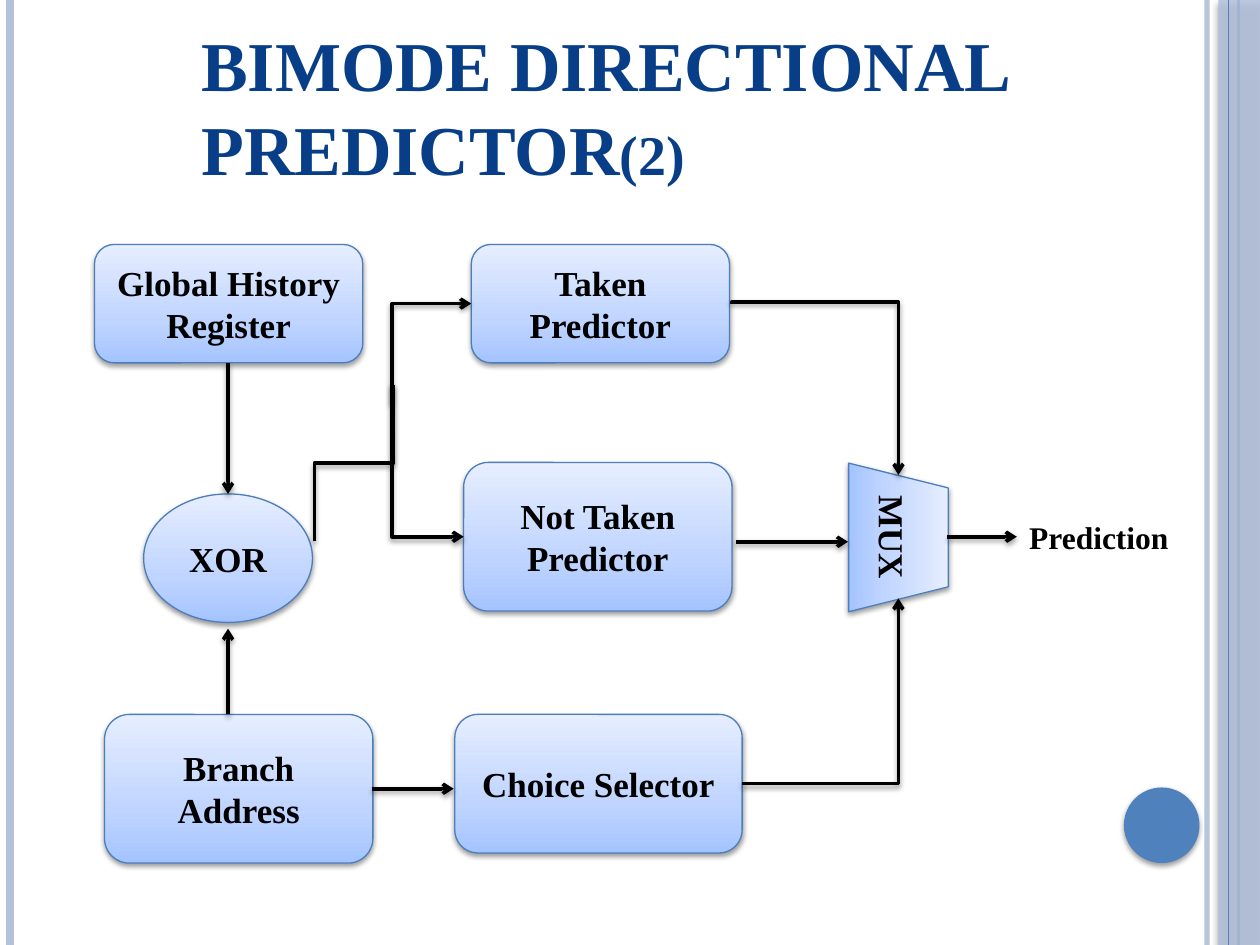
from copy import deepcopy
from typing import NamedTuple

from lxml import etree
from pptx import Presentation
from pptx.dml.color import RGBColor
from pptx.enum.shapes import MSO_CONNECTOR, MSO_SHAPE
from pptx.enum.text import MSO_ANCHOR, PP_ALIGN
from pptx.oxml.ns import qn
from pptx.util import Inches, Pt

ROUND, OVAL = MSO_SHAPE.ROUNDED_RECTANGLE, MSO_SHAPE.OVAL
TRAPEZOID, RECT = MSO_SHAPE.TRAPEZOID, MSO_SHAPE.RECTANGLE
STRAIGHT, ELBOW = MSO_CONNECTOR.STRAIGHT, MSO_CONNECTOR.ELBOW
MIDDLE, BOTTOM, TOP = MSO_ANCHOR.MIDDLE, MSO_ANCHOR.BOTTOM, MSO_ANCHOR.TOP
LEFT, CENTER = PP_ALIGN.LEFT, PP_ALIGN.CENTER

FONT = "Times New Roman"
COLORS = {
    "title": "073E87", "ink": "000000", "band": "B3C1DB", "accent": "4F81BD",
    "edge": "4B7EBC", "low": "A4C4FF", "mid": "BFD4FF", "high": "E6EEFF",
}
GRADIENT = [(0, "low"), (0.35, "mid"), (1, "high")]


class Block(NamedTuple):
    """A labelled block of the diagram."""
    text: str
    x: float
    y: float
    w: float
    h: float
    kind: int = ROUND
    rotation: int = 0


class Rule(NamedTuple):
    """A full-height vertical line."""
    x: float
    width: float
    color: str
    alpha: int = 100


class Arrow(NamedTuple):
    """A straight arrow between two points."""
    x1: float
    y1: float
    x2: float
    y2: float


class Bend(NamedTuple):
    """A bent connector, given by its frame before rotation."""
    x: float
    y: float
    w: float
    h: float
    rotation: int
    flips: str
    preset: str
    adj: float = 0.5
    head: bool = True


BLOCKS = [
    Block("Global History Register", 0.75, 1.94, 2.13, 0.94),
    Block("Branch Address", 0.83, 5.67, 2.13, 1.18),
    Block("Taken Predictor", 3.74, 1.94, 2.05, 0.94),
    Block("Not Taken Predictor", 3.68, 3.67, 2.13, 1.18),
    Block("Choice Selector", 3.61, 5.67, 2.28, 1.1),
    Block("MUX", 6.54, 3.87, 1.18, 0.79, TRAPEZOID, 90),
    Block("XOR", 1.14, 3.92, 1.34, 1.02, OVAL),
]
RULES_BELOW = [Rule(9.58, 3, "band", 93), Rule(0.08, 4.5, "band"),
               Rule(9.83, 1.5, "accent")]
RULE_ABOVE = Rule(9.75, 0.75, "accent")
ARROWS = [
    Arrow(1.81, 2.88, 1.81, 3.92), Arrow(1.81, 5.67, 1.81, 4.99),
    Arrow(7.52, 4.26, 8.07, 4.26), Arrow(5.84, 4.3, 6.73, 4.3),
    Arrow(2.95, 6.26, 3.6, 6.26),
]
BENDS = [
    Bend(2.19, 3.36, 1.24, 0.63, 90, "HV", "bentConnector3", head=False),
    Bend(3.03, 2.49, 0.79, 0.63, 90, "HV", "bentConnector2"),
    Bend(5.79, 2.43, 1.36, 1.32, 270, "H", "bentConnector3", -0.01),
    Bend(2.79, 3.37, 1.21, 0.57, 270, "H", "bentConnector2"),
    Bend(5.89, 4.75, 1.24, 1.47, 0, "V", "bentConnector2"),
]


def rgb(name: str) -> RGBColor:
    """Look up a named colour."""
    return RGBColor.from_string(COLORS[name])


def add_alpha(shape, percent: int) -> None:
    """Make the first colour of a shape partly transparent."""
    clr = shape._element.spPr.find(".//" + qn("a:srgbClr"))
    etree.SubElement(clr, qn("a:alpha"), val=str(percent * 1000))


def add_shadow(shape) -> None:
    """Give a shape the soft shadow that falls downwards."""
    spPr = shape._element.spPr
    for old in spPr.findall(qn("a:effectLst")):
        spPr.remove(old)
    effects = etree.SubElement(spPr, qn("a:effectLst"))
    shadow = etree.SubElement(
        effects, qn("a:outerShdw"), blurRad=str(Pt(3.1)), dist=str(Pt(1.6)),
        dir="5400000", rotWithShape="0")
    clr = etree.SubElement(shadow, qn("a:srgbClr"), val=COLORS["ink"])
    etree.SubElement(clr, qn("a:alpha"), val="38000")


def fill_gradient(shape) -> None:
    """Fill a shape with the three-stop blue gradient."""
    shape.fill.gradient()
    shape.fill.gradient_angle = 90
    stop_list = shape._element.spPr.find(".//" + qn("a:gsLst"))
    stop_list.insert(1, deepcopy(stop_list[0]))
    for stop, (position, color) in zip(shape.fill.gradient_stops, GRADIENT):
        stop.position = position
        stop.color.rgb = rgb(color)


def write(shape, runs: list[tuple[str, int]], color: str = "ink",
          align: int = CENTER, anchor: int = MIDDLE, indent: float = 0) -> None:
    """Write one bold paragraph of (text, size) runs."""
    tf = shape.text_frame
    tf.word_wrap = True
    tf.vertical_anchor = anchor
    p = tf.paragraphs[0]
    p.alignment = align
    if indent:
        p._p.get_or_add_pPr().set("marL", str(Inches(indent)))
    for text, size in runs:
        r = p.add_run()
        r.text = text
        r.font.name, r.font.size, r.font.bold = FONT, Pt(size), True
        r.font.color.rgb = rgb(color)


def add_plain(shapes, kind: int, x: float, y: float, w: float, h: float,
              color: str):
    """Add a flat, borderless shape with a shadow."""
    s = shapes.add_shape(kind, Inches(x), Inches(y), Inches(w), Inches(h))
    s.fill.solid()
    s.fill.fore_color.rgb = rgb(color)
    s.line.fill.background()
    add_shadow(s)
    return s


def add_block(shapes, block: Block) -> None:
    """Add a diagram block with its label."""
    s = shapes.add_shape(block.kind, Inches(block.x), Inches(block.y),
                         Inches(block.w), Inches(block.h))
    s.rotation = block.rotation
    fill_gradient(s)
    s.line.color.rgb = rgb("edge")
    s.line.width = Pt(0.75)
    add_shadow(s)
    write(s, [(block.text, 20)])


def add_line(shapes, kind: int, x1: float, y1: float, x2: float, y2: float,
             color: str, width: float, head: bool = False):
    """Add a connector, with an arrowhead at its end if asked."""
    c = shapes.add_connector(kind, Inches(x1), Inches(y1), Inches(x2), Inches(y2))
    c.line.color.rgb = rgb(color)
    c.line.width = Pt(width)
    if head:
        etree.SubElement(c.line._get_or_add_ln(), qn("a:tailEnd"), type="arrow")
    return c


def add_rule(shapes, rule: Rule) -> None:
    """Add a vertical line over the whole slide height."""
    c = add_line(shapes, STRAIGHT, rule.x, 0, rule.x, 7.5, rule.color, rule.width)
    if rule.alpha < 100:
        add_alpha(c, rule.alpha)
    etree.SubElement(c._element.spPr, qn("a:effectLst"))


def add_bend(shapes, bend: Bend) -> None:
    """Add a bent connector turned and flipped into place."""
    c = add_line(shapes, ELBOW, bend.x, bend.y, bend.x + bend.w,
                 bend.y + bend.h, "ink", 2, bend.head)
    xfrm = c._element.spPr.find(qn("a:xfrm"))
    xfrm.set("rot", str(bend.rotation * 60000))
    for axis in bend.flips:
        xfrm.set("flip" + axis, "1")
    geom = c._element.spPr.find(qn("a:prstGeom"))
    geom.set("prst", bend.preset)
    if bend.preset == "bentConnector3":
        etree.SubElement(geom.find(qn("a:avLst")), qn("a:gd"), name="adj1",
                         fmla=f"val {round(bend.adj * 100000)}")
    add_shadow(c)


def main() -> None:
    """Build the slide and save it."""
    prs = Presentation()
    prs.slide_width, prs.slide_height = Inches(10), Inches(7.5)
    shapes = prs.slides.add_slide(prs.slide_layouts[6]).shapes
    for rule in RULES_BELOW:
        add_rule(shapes, rule)
    add_alpha(add_plain(shapes, RECT, 9.67, 0, 0.33, 7.5, "band"), 87)
    add_rule(shapes, RULE_ABOVE)
    add_plain(shapes, OVAL, 8.92, 6.25, 0.6, 0.6, "accent")
    title = shapes.add_textbox(Inches(0.5), Inches(0.3), Inches(8.17), Inches(1.25))
    write(title, [("BIMODE DIRECTIONAL PREDICTOR", 40), ("(2)", 32)],
          "title", LEFT, BOTTOM, 1)
    for block in BLOCKS:
        add_block(shapes, block)
    label = shapes.add_textbox(Inches(8.07), Inches(4.06), Inches(1.34), Inches(0.4))
    write(label, [("Prediction", 18)], align=LEFT, anchor=TOP)
    for bend in BENDS:
        add_bend(shapes, bend)
    for arrow in ARROWS:
        add_shadow(add_line(shapes, STRAIGHT, *arrow, "ink", 2, True))
    prs.save("out.pptx")


main()
